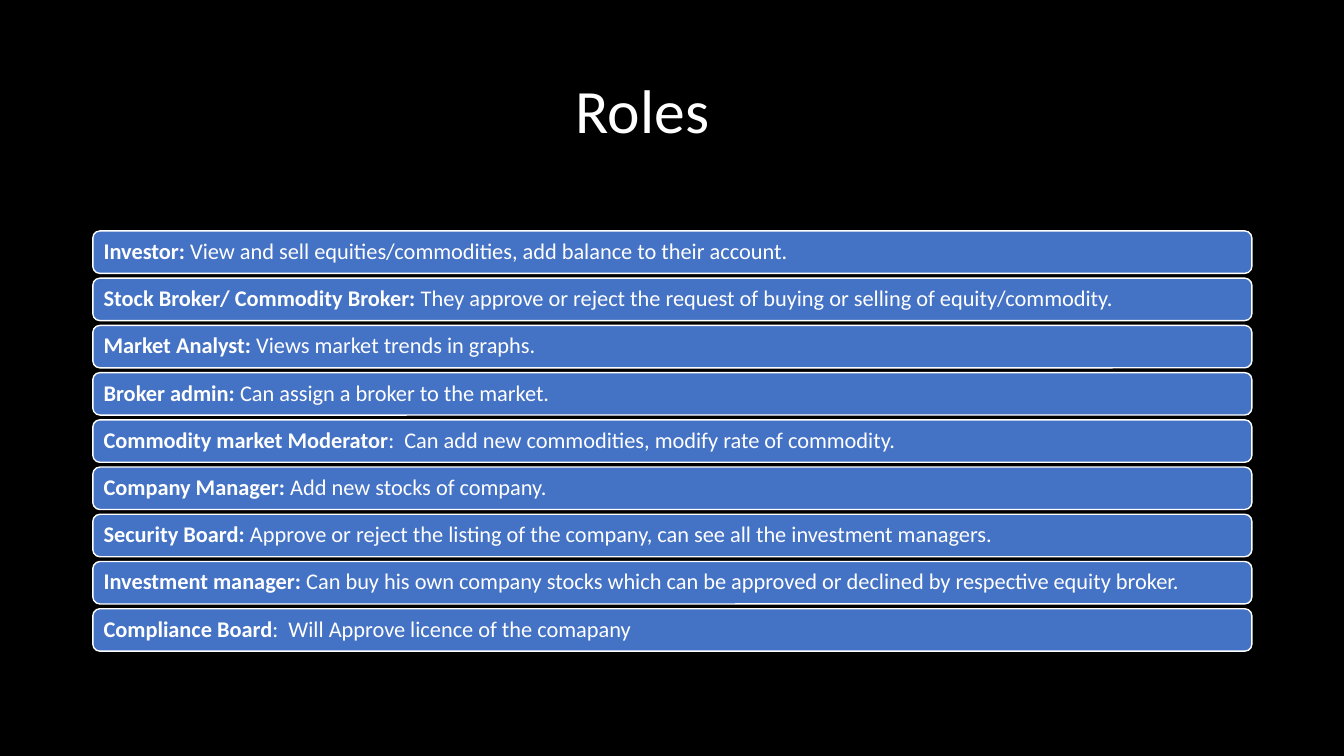
from typing import NamedTuple

from pptx import Presentation
from pptx.dml.color import RGBColor
from pptx.enum.shapes import MSO_SHAPE as Preset
from pptx.enum.text import MSO_ANCHOR as Anchor, PP_ALIGN as Align
from pptx.slide import Slide
from pptx.text.text import _Paragraph as Paragraph
from pptx.util import Cm, Pt

BLACK = "000000"
WHITE = "FFFFFF"
BLUE = "4472C4"
LEFT = 2.34
WIDTH = 29.21
FIRST_ROLE_TOP = 5.82
ROLE_HEIGHT = 1.07
ROLE_PITCH = 1.19


class Role(NamedTuple):
    name: str
    duty: str


ROLES = [
    Role("Investor:", " View and sell equities/commodities, add balance to their account."),
    Role("Stock Broker/ Commodity Broker:",
         " They approve or reject the request of buying or selling of equity/commodity."),
    Role("Market Analyst:", " Views market trends in graphs."),
    Role("Broker admin:", " Can assign a broker to the market."),
    Role("Commodity market Moderator", ":  Can add new commodities, modify rate of commodity."),
    Role("Company Manager:", " Add new stocks of company."),
    Role("Security Board:",
         " Approve or reject the listing of the company, can see all the investment managers."),
    Role("Investment manager:",
         " Can buy his own company stocks which can be approved or declined by respective equity broker."),
    Role("Compliance Board", ":  Will Approve licence of the comapany"),
]


def color(value: str) -> RGBColor:
    return RGBColor.from_string(value)


def add_run(paragraph: Paragraph, text: str, size: float, bold: bool = False) -> None:
    run = paragraph.add_run()
    run.text = text
    run.font.name = "Calibri"
    run.font.size = Pt(size)
    run.font.bold = bold
    run.font.color.rgb = color(WHITE)


def draw_heading(slide: Slide, text: str) -> None:
    heading = slide.shapes.add_textbox(Cm(LEFT), Cm(1.02), Cm(WIDTH), Cm(3.68))
    frame = heading.text_frame
    frame.word_wrap = True
    frame.vertical_anchor = Anchor.MIDDLE
    frame.margin_left = Cm(12.17)
    paragraph = frame.paragraphs[0]
    paragraph.line_spacing = 0.9
    add_run(paragraph, text, 44)


def draw_role(slide: Slide, role: Role, top: float) -> None:
    bar = slide.shapes.add_shape(
        Preset.ROUNDED_RECTANGLE, Cm(LEFT), Cm(top), Cm(WIDTH), Cm(ROLE_HEIGHT))
    bar.shadow.inherit = False
    bar.fill.solid()
    bar.fill.fore_color.rgb = color(BLUE)
    bar.line.color.rgb = color(WHITE)
    bar.line.width = Pt(1)
    frame = bar.text_frame
    frame.word_wrap = True
    frame.vertical_anchor = Anchor.MIDDLE
    frame.margin_left = frame.margin_right = Cm(0.22)
    frame.margin_top = frame.margin_bottom = Cm(0.18)
    paragraph = frame.paragraphs[0]
    paragraph.alignment = Align.LEFT
    paragraph.line_spacing = 0.9
    add_run(paragraph, role.name, 16, bold=True)
    add_run(paragraph, role.duty, 16)


def main() -> None:
    deck = Presentation()
    deck.slide_width = Cm(33.87)
    deck.slide_height = Cm(19.05)
    slide = deck.slides.add_slide(deck.slide_layouts[6])
    slide.background.fill.solid()
    slide.background.fill.fore_color.rgb = color(BLACK)
    draw_heading(slide, "Roles")
    for index, role in enumerate(ROLES):
        draw_role(slide, role, FIRST_ROLE_TOP + index * ROLE_PITCH)
    deck.save("out.pptx")


if __name__ == "__main__":
    main()
